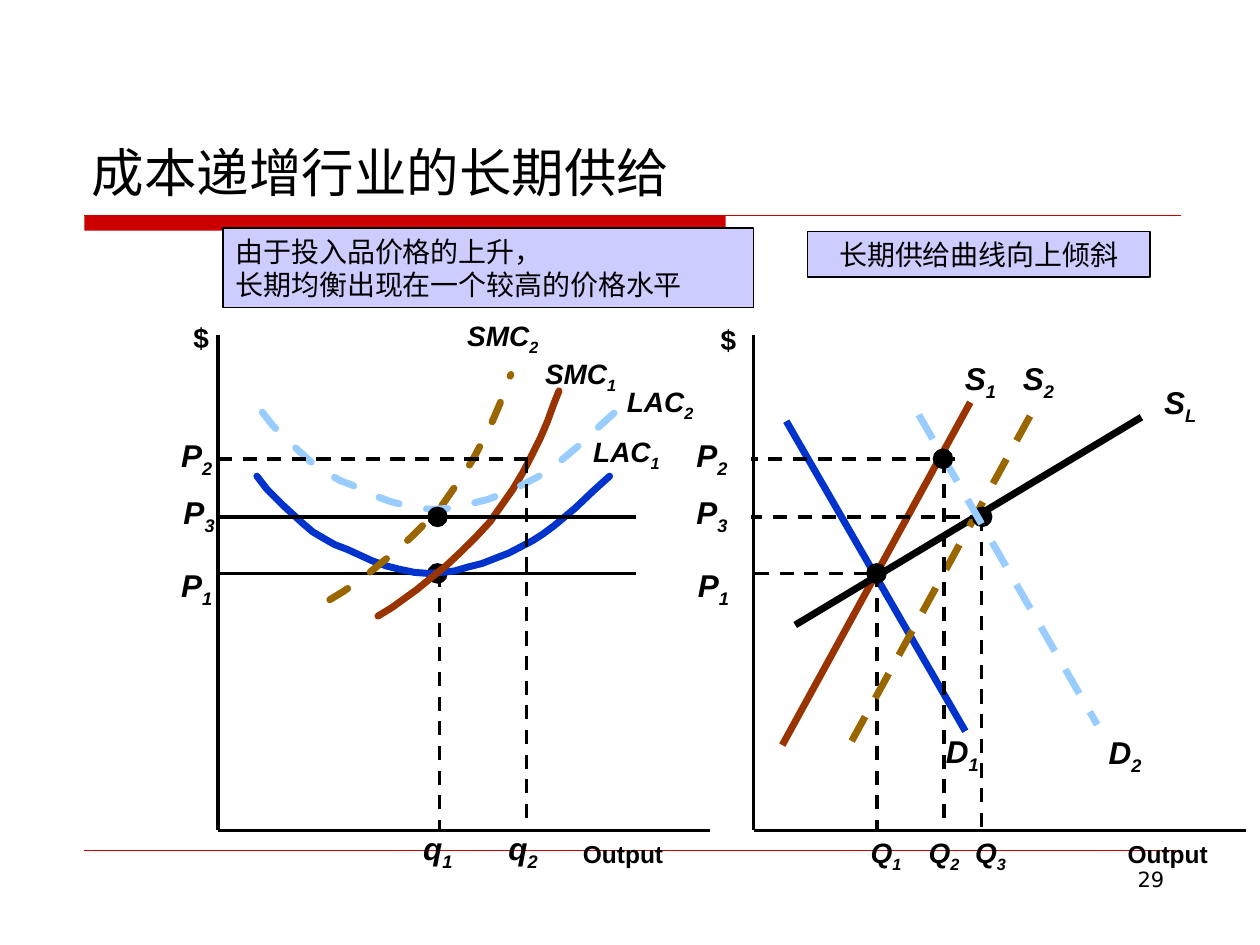
from pptx import Presentation
from pptx.dml.color import RGBColor
from pptx.enum.dml import MSO_LINE_DASH_STYLE as Dash
from pptx.enum.shapes import MSO_CONNECTOR as Connector, MSO_SHAPE as Shape
from pptx.enum.text import MSO_ANCHOR as Anchor, PP_ALIGN as Align
from pptx.oxml.ns import qn
from pptx.util import Cm, Pt
from lxml.etree import SubElement

BLACK = RGBColor(0x00, 0x00, 0x00)
RED = RGBColor(0xCC, 0x00, 0x00)
LILAC = RGBColor(0xCC, 0xCC, 0xFF)
BLUE = RGBColor(0x00, 0x33, 0xCC)
SKY = RGBColor(0x99, 0xCC, 0xFF)
RUST = RGBColor(0x99, 0x33, 0x00)
OCHRE = RGBColor(0x99, 0x66, 0x00)

# Heights shared by both diagrams, in cm below the top of the vertical axis
PRICE_1, PRICE_2, PRICE_3 = 4.8, 2.49, 3.66
DOT_SIZE = 0.38
LABEL_HEIGHTS = {18: 1.12, 16: 1.02, 14: 0.84}

# First cost curves; the second ones are the same curves moved by a shift
LAC_POINTS = [
    (0.79, 2.84), (0.99, 3.1), (1.32, 3.43), (1.7, 3.78), (1.91, 3.96),
    (2.13, 4.09), (2.36, 4.22), (2.62, 4.32), (3.12, 4.55), (3.4, 4.65),
    (3.68, 4.72), (3.96, 4.78), (4.24, 4.8), (4.52, 4.78), (4.78, 4.75),
    (5.05, 4.67), (5.33, 4.6), (5.87, 4.39), (6.1, 4.27), (6.35, 4.14),
    (6.55, 4.01), (6.78, 3.84), (7.21, 3.48), (7.59, 3.12), (7.9, 2.84)]
SMC_POINTS = [
    (3.23, 5.66), (3.51, 5.49), (3.76, 5.31), (4.01, 5.13), (4.29, 4.9),
    (4.6, 4.65), (4.9, 4.37), (5.21, 4.06), (5.49, 3.76), (5.72, 3.43),
    (5.94, 3.12), (6.15, 2.77), (6.32, 2.44), (6.5, 2.08), (6.65, 1.73),
    (6.78, 1.37), (6.88, 1.12)]
LAC_SHIFT = (0.11, -1.29)
SMC_SHIFT = (-0.97, -0.33)


def set_font(font, **values):
    font.color.rgb = BLACK
    for name, value in values.items():
        setattr(font, name, value)


def write(text_frame, lines, align=Align.LEFT, wrap=True, **font_values):
    """Fill a frame with one paragraph per line and return the paragraphs."""
    text_frame.word_wrap = wrap
    for index, line in enumerate(lines):
        paragraph = text_frame.paragraphs[0] if index == 0 else text_frame.add_paragraph()
        paragraph.alignment = align
        run = paragraph.add_run()
        run.text = line
        set_font(run.font, **font_values)
    return text_frame.paragraphs


def style_line(line, color, width, dash=None):
    line.color.rgb = color
    line.width = Pt(width)
    if dash:
        line.dash_style = dash


def add_line(slide, box, start, end, color=BLACK, width=2, dash=None):
    left, top = box[:2]
    connector = slide.shapes.add_connector(
        Connector.STRAIGHT, Cm(left + start[0]), Cm(top + start[1]),
        Cm(left + end[0]), Cm(top + end[1]))
    style_line(connector.line, color, width, dash)
    SubElement(connector._element.spPr, qn("a:effectLst"))


def add_dot(slide, box, x, y):
    dot = slide.shapes.add_shape(
        Shape.OVAL, Cm(box[0] + x - DOT_SIZE / 2), Cm(box[1] + y - DOT_SIZE / 2),
        Cm(DOT_SIZE), Cm(DOT_SIZE))
    dot.shadow.inherit = False
    dot.fill.solid()
    dot.fill.fore_color.rgb = BLACK
    style_line(dot.line, BLACK, 1)


def add_label(slide, box, x, y, text, subscript="", size=18, width=1.14, align=Align.LEFT):
    """Bold label; with a subscript it is a variable name in italics."""
    text_box = slide.shapes.add_textbox(
        Cm(box[0] + x), Cm(box[1] + y), Cm(width), Cm(LABEL_HEIGHTS[size]))
    font_values = dict(name="Arial", size=Pt(size), bold=True, italic=bool(subscript))
    paragraph = write(text_box.text_frame, [text], align, False, **font_values)[0]
    if subscript:
        # The free right margin keeps the subscript on the same line
        text_box.text_frame.margin_right = 0
        run = paragraph.add_run()
        run.text = subscript
        set_font(run.font, **font_values)
        run._r.get_or_add_rPr().set("baseline", "-25000")


def add_curve(slide, box, points, color, shift=(0, 0), dash=None):
    placed = [(Cm(box[0] + shift[0] + x), Cm(box[1] + shift[1] + y)) for x, y in points]
    builder = slide.shapes.build_freeform(*placed[0])
    builder.add_line_segments(placed[1:], close=False)
    curve = builder.convert_to_shape()
    curve.shadow.inherit = False
    curve.fill.background()
    style_line(curve.line, color, 4, dash)
    curve.line._get_or_add_ln().set("cap", "rnd")


def add_axes(slide, box, dollar, output_x):
    width, height = box[2:]
    add_line(slide, box, (0, 0), (0, height))
    add_line(slide, box, (0, height), (width, height))
    add_label(slide, box, *dollar, "$", size=16, width=0.81, align=Align.RIGHT)
    add_label(slide, box, output_x, height + 0.05, "Output", size=14, width=2.13)


def add_firm_diagram(slide, box):
    """Cost curves of a single firm."""
    base = box[3]
    add_axes(slide, box, (-0.74, -0.43), 7.11)
    # Quantity q1 and price P1
    add_line(slide, box, (4.47, PRICE_1), (4.47, base), dash=Dash.DASH)
    add_line(slide, box, (0.05, PRICE_1), (8.43, PRICE_1))
    add_dot(slide, box, 4.43, PRICE_1)
    # Cost curves before and after the rise in input prices
    add_curve(slide, box, LAC_POINTS, BLUE)
    add_curve(slide, box, SMC_POINTS, RUST)
    add_curve(slide, box, SMC_POINTS, OCHRE, SMC_SHIFT, Dash.DASH)
    add_curve(slide, box, LAC_POINTS, SKY, LAC_SHIFT, Dash.DASH)
    # Price P3, then price P2 with quantity q2
    add_line(slide, box, (0.05, PRICE_3), (8.43, PRICE_3))
    add_dot(slide, box, 4.43, PRICE_3)
    add_line(slide, box, (6.22, PRICE_2), (6.22, base), dash=Dash.DASH)
    add_line(slide, box, (6.25, PRICE_2), (0.05, PRICE_2), dash=Dash.DASH)
    # Labels
    for x, y, subscript in ((-0.99, 4.52, "1"), (-0.94, 3.05, "3"), (-0.99, 1.91, "2")):
        add_label(slide, box, x, y, "P", subscript)
    for x, subscript in ((3.89, "1"), (5.61, "2")):
        add_label(slide, box, x, base - 0.15, "q", subscript, width=1.09)
    for x, y, name, subscript in ((6.35, 0.3, "SMC", "1"), (4.78, -0.46, "SMC", "2"),
                                  (7.32, 1.88, "LAC", "1"), (8, 0.86, "LAC", "2")):
        add_label(slide, box, x, y, name, subscript, 16, 1.93)


def add_market_diagram(slide, box):
    """Supply and demand of the whole industry."""
    base = box[3]

    def add_drop(x, price):
        add_line(slide, box, (x, price), (x, base), dash=Dash.DASH)

    def add_price(start, end, price):
        add_line(slide, box, (start, price), (end, price), dash=Dash.DASH)

    add_axes(slide, box, (-0.91, -0.38), 7.29)
    # First equilibrium
    add_line(slide, box, (0.66, 1.73), (4.27, 7.98), BLUE, 4)
    add_line(slide, box, (0.58, 8.26), (4.37, 1.35), RUST, 4)
    add_drop(2.49, PRICE_1)
    add_dot(slide, box, 2.48, PRICE_1)
    add_price(0.03, 2.46, PRICE_1)
    # Long-run supply and the new short-run supply
    add_line(slide, box, (0.84, 5.84), (7.82, 1.65), BLACK, 4)
    add_line(slide, box, (1.98, 8.18), (5.77, 1.27), OCHRE, 4, Dash.DASH)
    # Final equilibrium
    add_dot(slide, box, 4.61, PRICE_3)
    add_price(4.65, -0.05, PRICE_3)
    add_drop(4.6, PRICE_3)
    # New demand and the temporary equilibrium
    add_line(slide, box, (3.33, 1.6), (6.93, 7.85), SKY, 4, Dash.DASH)
    add_drop(3.84, PRICE_2)
    add_price(4.06, -0.05, PRICE_2)
    add_dot(slide, box, 3.82, PRICE_2)
    # Labels
    for x, y, name, subscript in (
            (3.63, 7.87, "D", "1"), (6.91, 7.9, "D", "2"), (4.01, 0.36, "S", "1"),
            (5.18, 0.36, "S", "2"), (8.03, 0.84, "S", "L"), (-1.37, 4.52, "P", "1"),
            (-1.4, 3.05, "P", "3"), (-1.4, 1.91, "P", "2")):
        add_label(slide, box, x, y, name, subscript)
    for x, subscript in ((2.11, "1"), (3.28, "2"), (4.22, "3")):
        add_label(slide, box, x, base - 0.02, "Q", subscript, 16, 1.12)


def add_heading(slide, box, title):
    """Title above a rule that is thick on its left part."""
    left, top, width, height = box
    text_box = slide.shapes.add_textbox(*map(Cm, (left - 0.1, top, width, height)))
    text_box.text_frame.vertical_anchor = Anchor.BOTTOM
    write(text_box.text_frame, [title], name="Noto Sans CJK SC", size=Pt(30))
    rule_top = height + 0.13
    bar = slide.shapes.add_shape(
        Shape.RECTANGLE, Cm(left), Cm(top + rule_top), Cm(12.93), Cm(0.3))
    bar.shadow.inherit = False
    bar.fill.solid()
    bar.fill.fore_color.rgb = RED
    bar.line.fill.background()
    add_line(slide, box, (0, rule_top), (22.1, rule_top), RED, 0.75)


def add_callout(slide, box, lines, align=Align.LEFT):
    callout = slide.shapes.add_shape(Shape.RECTANGLE, *map(Cm, box))
    callout.shadow.inherit = False
    callout.fill.solid()
    callout.fill.fore_color.rgb = LILAC
    style_line(callout.line, BLACK, 1)
    callout.text_frame.vertical_anchor = Anchor.TOP
    write(callout.text_frame, lines, align, name="Arial", size=Pt(16))


def add_footer(slide, box, number):
    add_line(slide, box, (0, 0), (box[2], 0), RED, 0.25)
    text_box = slide.shapes.add_textbox(
        Cm(box[0] + 16.51), Cm(box[1] + 0.2), Cm(5.51), Cm(box[3] - 0.2))
    write(text_box.text_frame, [number], Align.RIGHT, name="DejaVu Sans", size=Pt(12))


def main():
    presentation = Presentation()
    presentation.slide_width, presentation.slide_height = Cm(25.4), Cm(19.05)
    slide = presentation.slides.add_slide(presentation.slide_layouts[6])
    add_heading(slide, (1.7, 0.84, 22.23, 3.38), "成本递增行业的长期供给")
    add_footer(slide, (1.7, 17.15, 22, 1.52), "29")
    add_firm_diagram(slide, (4.39, 6.76, 9.93, 9.98))
    add_market_diagram(slide, (15.19, 6.76, 9.93, 9.98))
    add_callout(slide, (4.5, 4.6, 10.69, 1.6),
                ["由于投入品价格的上升，", "长期均衡出现在一个较高的价格水平"])
    add_callout(slide, (16.28, 4.67, 6.91, 0.91), ["长期供给曲线向上倾斜"], Align.CENTER)
    presentation.save("out.pptx")


if __name__ == "__main__":
    main()
